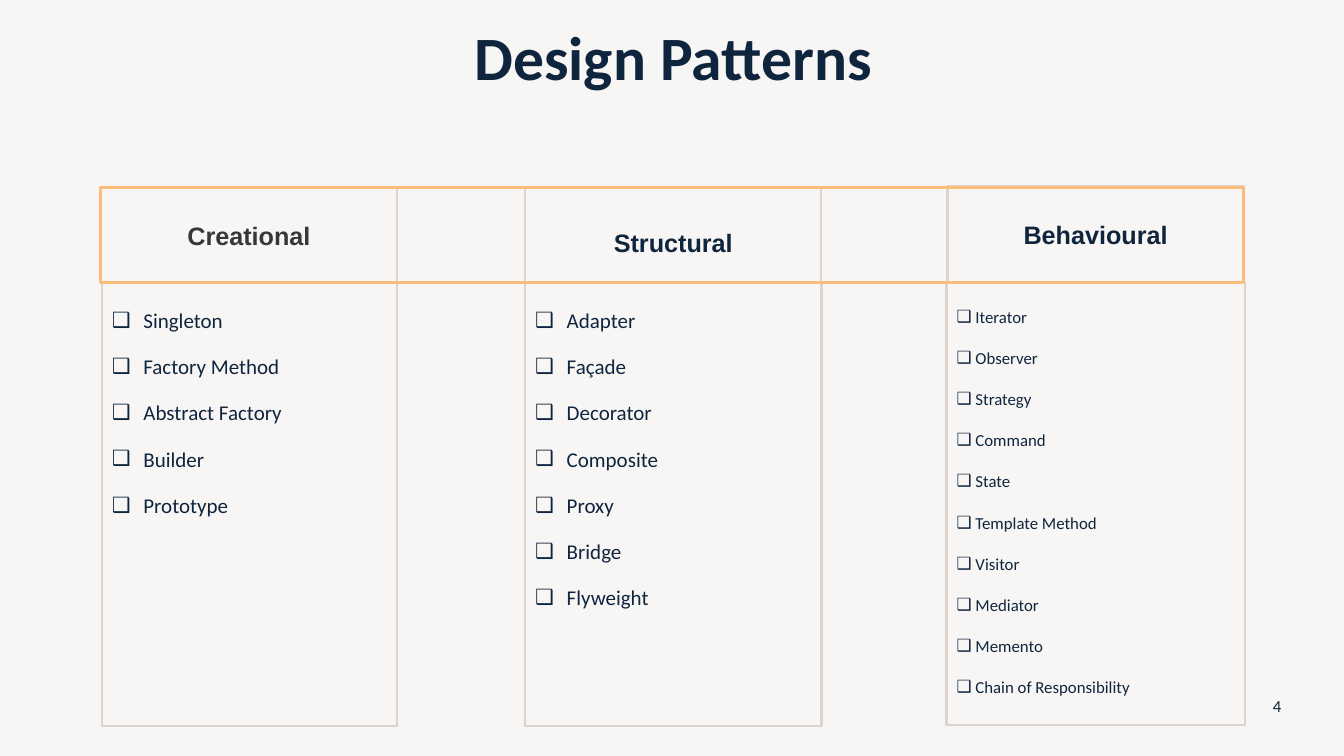
import pptx
import pptx.util
import pptx.dml.color
import pptx.enum.shapes
import pptx.enum.text
import pptx.oxml.ns
import lxml.etree

Pt = pptx.util.Pt
ALIGN = pptx.enum.text.PP_ALIGN
ANCHOR = pptx.enum.text.MSO_ANCHOR
RECT = pptx.enum.shapes.MSO_SHAPE.RECTANGLE
NAVY, GREY, BEIGE, ORANGE = "0F253E", "363737", "DCD3CC", "FABE79"


def paint(fmt, color):
    """Apply a solid hex colour to a fill."""
    fmt.solid()
    fmt.fore_color.rgb = pptx.dml.color.RGBColor.from_string(color)


def write(sp, text, font, size, color, bold=False, align=ALIGN.CENTER, anchor=ANCHOR.MIDDLE):
    """Fill a shape with text, one paragraph per line, and format it."""
    tf = sp.text_frame
    tf.text = text
    tf.word_wrap = True
    tf.auto_size = pptx.enum.text.MSO_AUTO_SIZE.NONE
    tf.vertical_anchor = anchor
    for p in tf.paragraphs:
        p.alignment = align
        p.space_before = Pt(0)
        for r in p.runs:
            r.font.name, r.font.size, r.font.bold = font, Pt(size), bold
            paint(r.font.fill, color)


prs = pptx.Presentation()
prs.slide_width, prs.slide_height = Pt(960), Pt(540)
s = prs.slides.add_slide(prs.slide_layouts[4])
paint(s.background.fill, "F8F6F5")

# Title
sp = s.shapes.title
sp.left, sp.top, sp.width, sp.height = Pt(67), Pt(5.8), Pt(828), Pt(75.6)
write(sp, "Design Patterns", "Calibri", 44, NAVY, bold=True)
sp.text_frame.paragraphs[0].line_spacing = 0.9

# Columns: heading, colour, extra top inset, heading left and top,
# list left and width, list text size, indent, items
columns = [
    ("Creational", GREY, 0, 72, 134, 72.7, 211, 15, 22.5,
     ["Singleton", "Factory Method", "Abstract Factory", "Builder", "Prototype"]),
    ("Structural", NAVY, 10, 375.1, 134, 375.1, 211.7, 15, 22.5,
     ["Adapter", "Façade", "Decorator", "Composite", "Proxy", "Bridge", "Flyweight"]),
    ("Behavioural", NAVY, 0, 676.8, 133.2, 676.1, 213.1, 12, 13.5,
     ["Iterator", "Observer", "Strategy", "Command", "State", "Template Method",
      "Visitor", "Mediator", "Memento", "Chain of Responsibility"]),
]
bodies = list(s.placeholders)[1:]
for body, column in zip(bodies, columns):
    heading, color, inset, left, top, list_left, list_width, size, indent, items = column

    # Pattern list
    body.left, body.top = Pt(list_left), Pt(top + 68.4)
    body.width, body.height = Pt(list_width), Pt(316.2)
    paint(body.line.fill, BEIGE)
    body.line.width = Pt(1.5)
    write(body, "\n".join(items), "Calibri", size, NAVY, align=ALIGN.LEFT, anchor=ANCHOR.TOP)
    body.text_frame.margin_top = Pt(17.3)
    for p in body.text_frame.paragraphs:
        p.space_after = Pt(15)
        pPr = p._p.get_or_add_pPr()
        pPr.set("marL", str(Pt(indent)))
        pPr.set("indent", str(-Pt(indent)))
        bullet = lxml.etree.SubElement(pPr, pptx.oxml.ns.qn("a:buChar"))
        bullet.set("char", "❑")

    # Heading box
    sp = s.shapes.add_shape(RECT, Pt(left), Pt(top), Pt(211.7), Pt(68.4))
    sp.shadow.inherit = False
    sp.fill.background()
    paint(sp.line.fill, BEIGE)
    sp.line.width = Pt(1.5)
    write(sp, heading, "Arial", 18, color, bold=True)
    sp.text_frame.margin_top = Pt(3.6 + inset)

# Unused placeholder
spare = bodies[-1]._element
spare.getparent().remove(spare)

# Frame around the headings
sp = s.shapes.add_shape(RECT, Pt(72), Pt(134), Pt(816.5), Pt(67.7))
sp.shadow.inherit = False
sp.fill.background()
paint(sp.line.fill, ORANGE)
sp.line.width = Pt(2.25)

# Slide number
sp = s.shapes.add_textbox(Pt(894.2), Pt(489.6), Pt(36), Pt(28.8))
write(sp, "4", "Calibri", 12, NAVY)

prs.save("out.pptx")
